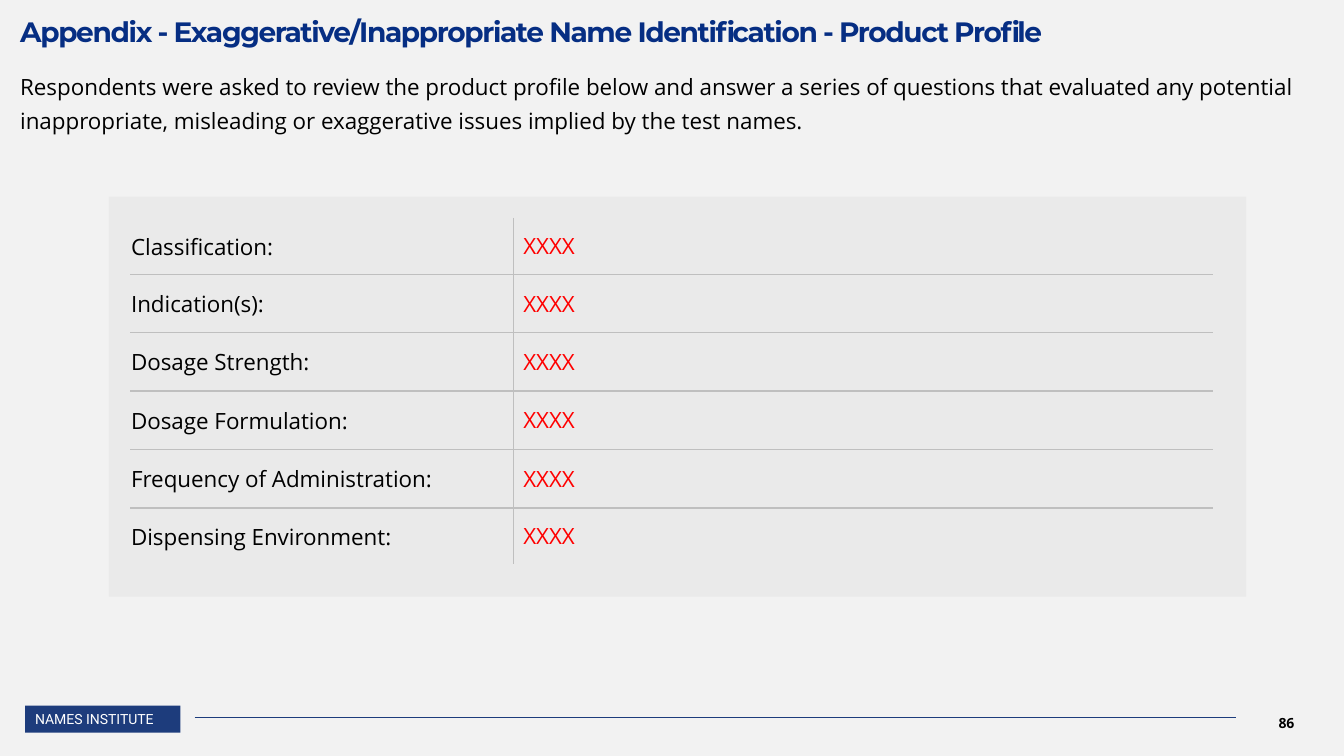
from pptx import Presentation
from pptx.dml.color import RGBColor
from pptx.enum import shapes, text
from pptx.oxml import parse_xml
from pptx.oxml.ns import nsdecls
from pptx.util import Inches, Pt

NAVY = RGBColor(0x1D, 0x3C, 0x7C)
BLUE = RGBColor(0x06, 0x2E, 0x83)
BLACK = RGBColor(0, 0, 0)
WHITE = RGBColor(255, 255, 255)
RED = RGBColor(255, 0, 0)
PAPER = RGBColor(0xF2, 0xF2, 0xF2)
PANEL = RGBColor(0xEA, 0xEA, 0xEA)
RULE = "BFBFBF"


def write(frame, words, size, face, color, bold=False):
    frame.text = words
    para = frame.paragraphs[0]
    para.alignment = text.PP_ALIGN.LEFT
    para.space_before = Pt(0)
    font = para.runs[0].font
    font.size, font.name, font.bold = Pt(size), face, bold
    font.color.rgb = color
    return para


def block(left, top, width, height, color):
    rect = slide.shapes.add_shape(
        shapes.MSO_SHAPE.RECTANGLE,
        Inches(left), Inches(top), Inches(width), Inches(height))
    rect.shadow.inherit = False
    rect.fill.solid()
    rect.fill.fore_color.rgb = color
    rect.line.fill.background()
    return rect


deck = Presentation()
deck.slide_width, deck.slide_height = Inches(13.33), Inches(7.5)
slide = deck.slides.add_slide(deck.slide_layouts[1])
slide.background.fill.solid()
slide.background.fill.fore_color.rgb = PAPER

# Title and intro
title, intro = slide.shapes.title, slide.placeholders[1]
for holder, top, height, inset in ((title, 0, 0.48, 0.21), (intro, 0.66, 0.65, 0)):
    holder.left, holder.top = Inches(0.2), Inches(top)
    holder.width, holder.height = Inches(12.82), Inches(height)
    frame = holder.text_frame
    frame.margin_left = frame.margin_right = frame.margin_bottom = 0
    frame.margin_top = Inches(inset)
    frame.word_wrap = True
    frame.auto_size = text.MSO_AUTO_SIZE.NONE
    frame.vertical_anchor = text.MSO_ANCHOR.TOP

head = write(
    title.text_frame,
    "Appendix - Exaggerative/Inappropriate Name Identification - Product Profile",
    20, "Montserrat", BLUE, True)
head.line_spacing = 0.8
head.runs[0].font._element.set("spc", "-100")

lead = write(
    intro.text_frame,
    "Respondents were asked to review the product profile below and answer "
    "a series of questions that evaluated any potential inappropriate, "
    "misleading or exaggerative issues implied by the test names.",
    16, "Open Sans", BLACK)
lead.line_spacing = 1.25
props = lead._p.get_or_add_pPr()
props.set("marL", "0")
props.set("indent", "0")
props.append(parse_xml(f"<a:buNone {nsdecls('a')}/>"))

# Product profile table
block(1.08, 1.95, 11.28, 3.97, PANEL)
labels = ("Classification:", "Indication(s):", "Dosage Strength:",
          "Dosage Formulation:", "Frequency of Administration:",
          "Dispensing Environment:")
last = len(labels) - 1
table = slide.shapes.add_table(
    len(labels), 2, Inches(1.29), Inches(2.16), Inches(10.74), Inches(3.44)).table
table.first_row = table.horz_banding = False
table.columns[0].width, table.columns[1].width = Inches(3.8), Inches(6.94)
for row, label in enumerate(labels):
    table.rows[row].height = Inches(0.56 if row in (0, last) else 0.58)
    for col, (words, color) in enumerate(((label, BLACK), ("XXXX", RED))):
        cell = table.cell(row, col)
        cell.vertical_anchor = text.MSO_ANCHOR.MIDDLE
        if col == 0:
            cell.margin_left = cell.margin_right = cell.margin_top = Inches(0.01)
            cell.margin_bottom = 0
        write(cell.text_frame, words, 16, "Open Sans", color)
        cell.fill.background()
        # Inner borders only
        edges = (("L", col == 1), ("R", col == 0), ("T", row > 0), ("B", row < last))
        for place, (side, shown) in enumerate(edges):
            paint = (f'<a:solidFill><a:srgbClr val="{RULE}"/></a:solidFill>'
                     if shown else "<a:noFill/>")
            cell._tc.get_or_add_tcPr().insert(place, parse_xml(
                f'<a:ln{side} {nsdecls("a")} w="12700">{paint}</a:ln{side}>'))

# Footer
badge = block(0.25, 7, 1.54, 0.27, NAVY)
badge.text_frame.word_wrap = False
write(badge.text_frame, "NAMES INSTITUTE", 10, "Roboto", WHITE)

line = slide.shapes.add_connector(
    shapes.MSO_CONNECTOR.STRAIGHT,
    Inches(1.93), Inches(7.12), Inches(12.26), Inches(7.12))
line.line.color.rgb = NAVY
line.line.width = Pt(0.5)
line._element.spPr.append(parse_xml(f"<a:effectLst {nsdecls('a')}/>"))

page = slide.shapes.add_textbox(
    Inches(12.21), Inches(6.97), Inches(1.1), Inches(0.4)).text_frame
page.word_wrap = True
page.vertical_anchor = text.MSO_ANCHOR.MIDDLE
write(page, "86", 10, "Open Sans", BLACK, True).alignment = text.PP_ALIGN.CENTER

deck.save("out.pptx")
